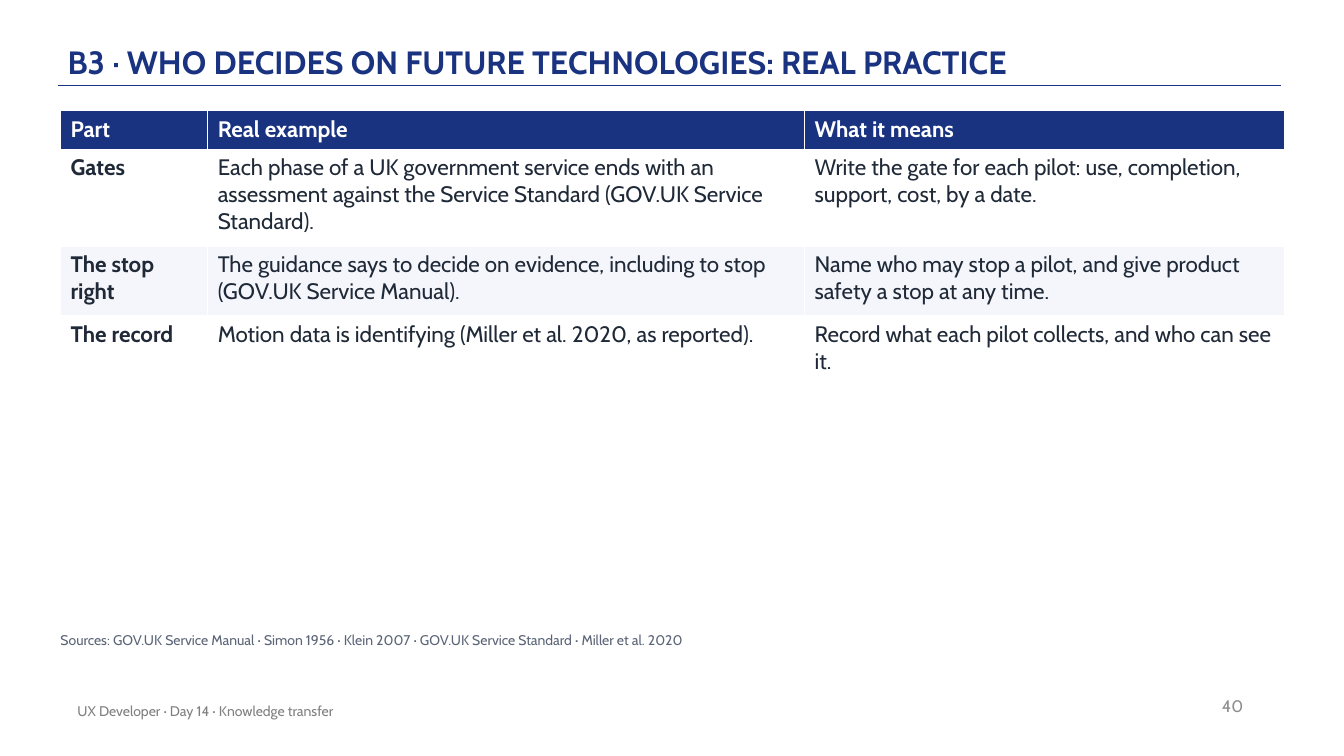
from lxml import etree
from pptx import Presentation
from pptx.dml.color import RGBColor
from pptx.enum.shapes import MSO_CONNECTOR
from pptx.enum.text import MSO_ANCHOR, PP_ALIGN
from pptx.oxml.ns import qn
from pptx.util import Inches, Pt

NAVY = RGBColor(0x1A, 0x33, 0x81)
INK = RGBColor(0x1F, 0x29, 0x37)
WHITE = RGBColor(0xFF, 0xFF, 0xFF)
BAND = RGBColor(0xF4, 0xF6, 0xFB)
SLATE = RGBColor(0x5B, 0x65, 0x77)
GREY = RGBColor(0x80, 0x80, 0x80)
LIGHT_GREY = RGBColor(0x8C, 0x8C, 0x8C)

COLUMN_WIDTHS = (1.46, 5.92, 4.76)
ROW_HEIGHTS = (0.38, 0.96, 0.69, 0.69)
ROWS = (
    ("Part", "Real example", "What it means"),
    ("Gates",
     "Each phase of a UK government service ends with an assessment against "
     "the Service Standard (GOV.UK Service Standard).",
     "Write the gate for each pilot: use, completion, support, cost, by a date."),
    ("The stop right",
     "The guidance says to decide on evidence, including to stop "
     "(GOV.UK Service Manual).",
     "Name who may stop a pilot, and give product safety a stop at any time."),
    ("The record",
     "Motion data is identifying (Miller et al. 2020, as reported).",
     "Record what each pilot collects, and who can see it."),
)


def write(tf, text, size=16, color=INK, bold=False, font="Cabin",
          align=PP_ALIGN.LEFT, line_spacing=None, space_after=None):
    """Put one formatted paragraph into a text frame."""
    tf.word_wrap = True
    p = tf.paragraphs[0]
    p.alignment = align
    if line_spacing is not None:
        p.line_spacing = line_spacing
    if space_after is not None:
        p.space_after = Pt(space_after)
    r = p.add_run()
    r.text = text
    r.font.name = font
    r.font.size = Pt(size)
    r.font.bold = bold
    r.font.color.rgb = color


class SlideBuilder:
    def __init__(self, slide, font="Cabin"):
        self.s = slide
        self.font = font

    def text(self, box, text, anchor=MSO_ANCHOR.MIDDLE, margins=(0.1, 0.05),
             **style):
        sp = self.s.shapes.add_textbox(*map(Inches, box))
        tf = sp.text_frame
        tf.vertical_anchor = anchor
        tf.margin_left = tf.margin_right = Inches(margins[0])
        tf.margin_top = tf.margin_bottom = Inches(margins[1])
        write(tf, text, font=self.font, **style)

    def line(self, start, end, color=NAVY, width=1):
        cn = self.s.shapes.add_connector(
            MSO_CONNECTOR.STRAIGHT, *map(Inches, start + end))
        cn.line.color.rgb = color
        cn.line.width = Pt(width)
        etree.SubElement(cn._element.spPr, qn("a:effectLst"))

    def table(self, left, top, rows, widths, heights):
        table = self.s.shapes.add_table(
            len(rows), len(widths), Inches(left), Inches(top),
            Inches(sum(widths)), Inches(sum(heights))).table
        for column, width in zip(table.columns, widths):
            column.width = Inches(width)
        for i, (texts, height) in enumerate(zip(rows, heights)):
            table.rows[i].height = Inches(height)
            header = i == 0
            fill = NAVY if header else WHITE if i % 2 else BAND
            for j, text in enumerate(texts):
                cell = table.cell(i, j)
                cell.fill.solid()
                cell.fill.fore_color.rgb = fill
                write(cell.text_frame, text, font=self.font,
                      color=WHITE if header else INK, bold=header or j == 0)


def main():
    prs = Presentation()
    prs.slide_width, prs.slide_height = Inches(13.33), Inches(7.5)
    b = SlideBuilder(prs.slides.add_slide(prs.slide_layouts[6]))

    # Heading and rule
    b.line((0.58, 0.85), (12.71, 0.85))
    b.text((0.67, 0.12, 11, 0.72),
           "B3 · WHO DECIDES ON FUTURE TECHNOLOGIES: REAL PRACTICE",
           anchor=MSO_ANCHOR.BOTTOM, margins=(0, 0.03),
           size=23, color=NAVY, bold=True, line_spacing=0.9)

    # Practice table
    b.table(0.6, 1.1, ROWS, COLUMN_WIDTHS, ROW_HEIGHTS)

    # Sources
    b.text((0.6, 6.27, 12.1, 0.3),
           "Sources: GOV.UK Service Manual · Simon 1956 · Klein 2007 · "
           "GOV.UK Service Standard · Miller et al. 2020",
           anchor=MSO_ANCHOR.TOP, margins=(0, 0),
           size=10, color=SLATE, space_after=6)

    # Footer
    b.text((0.67, 6.85, 6.7, 0.4), "UX Developer · Day 14 · Knowledge transfer",
           size=10, color=GREY)
    b.text((9.43, 6.8, 3, 0.4), "40", size=12, color=LIGHT_GREY,
           align=PP_ALIGN.RIGHT)

    prs.save("out.pptx")


if __name__ == "__main__":
    main()
